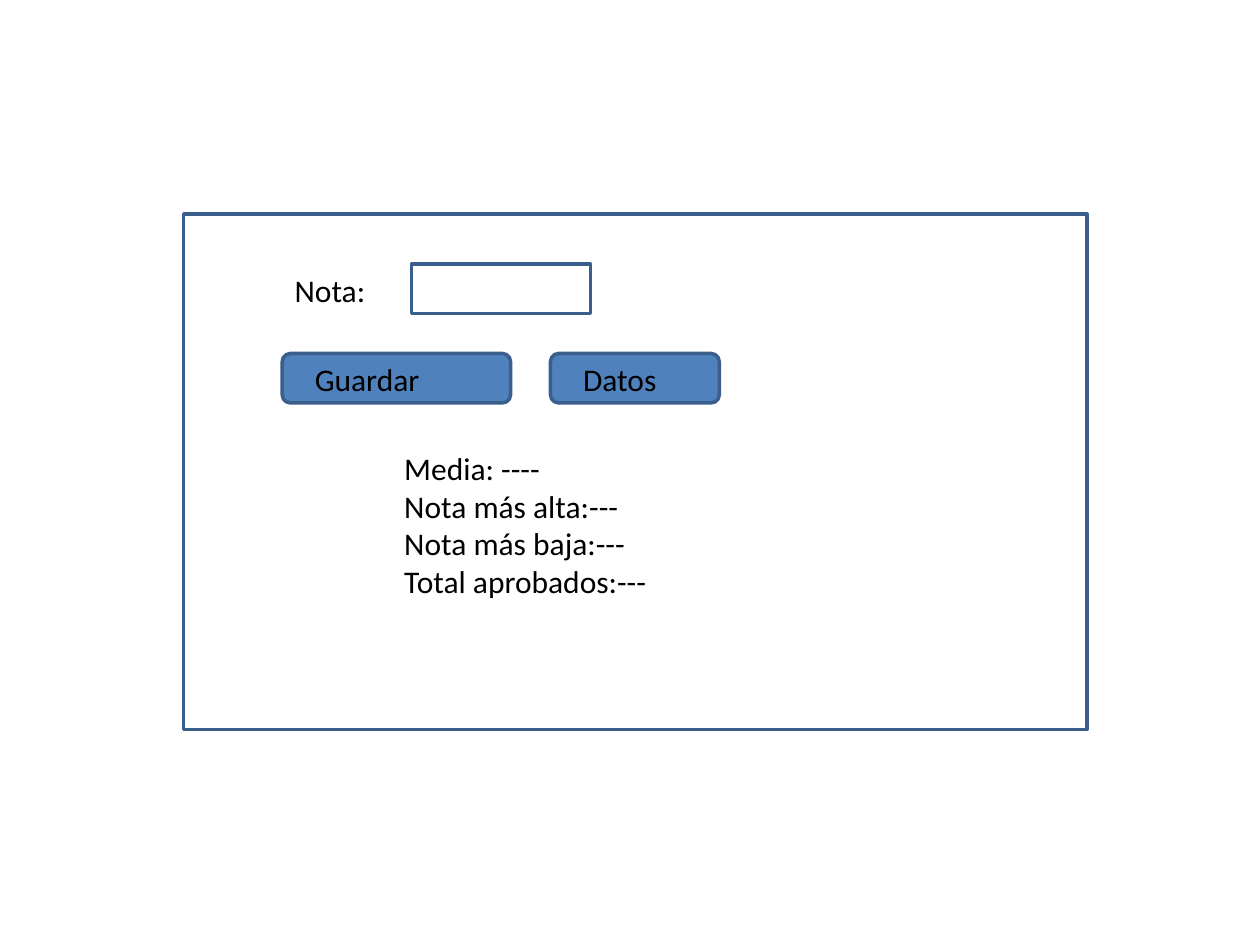
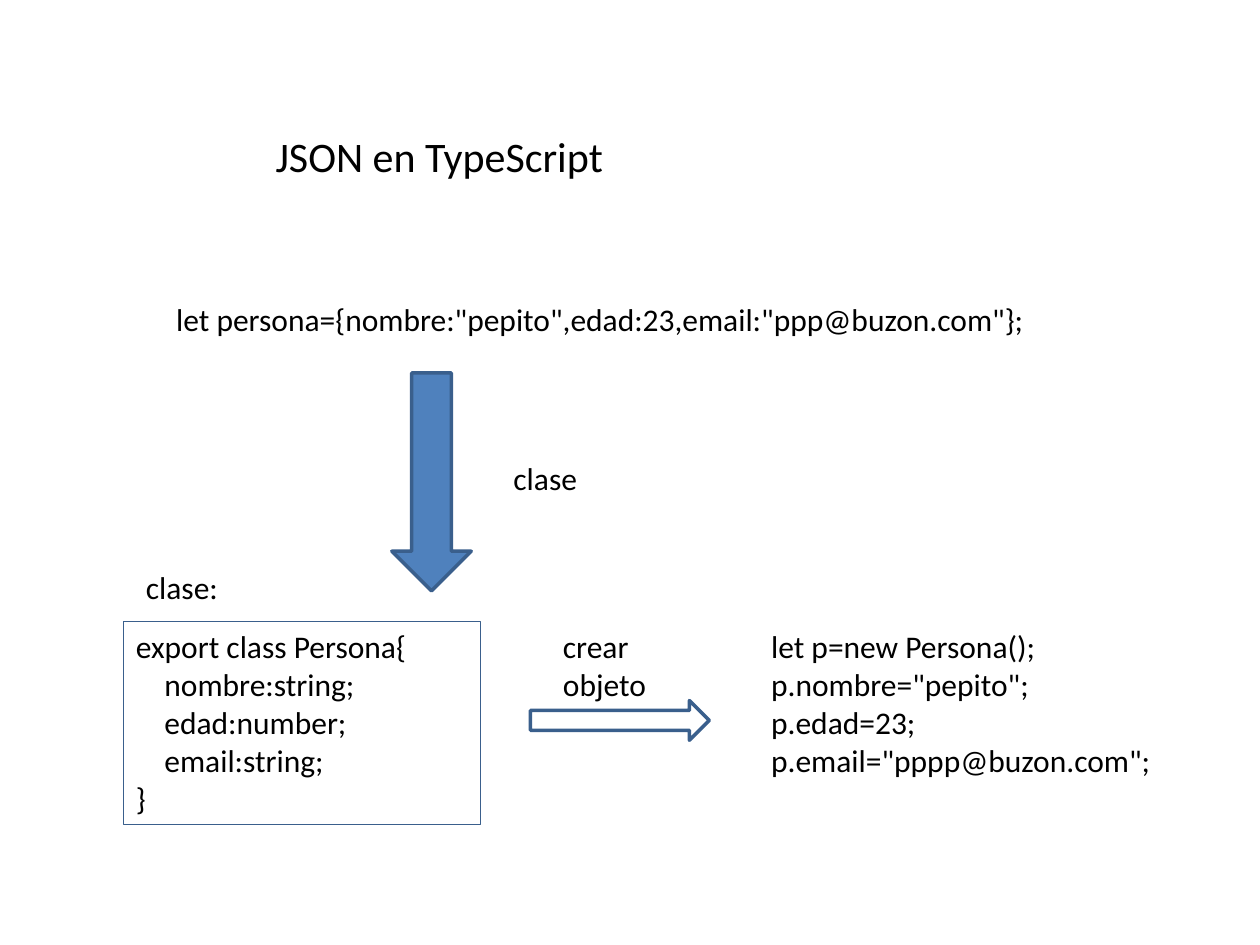
from dataclasses import dataclass

from pptx import Presentation
from pptx.dml.color import RGBColor
from pptx.enum.shapes import MSO_SHAPE
from pptx.enum.text import MSO_ANCHOR, MSO_AUTO_SIZE, PP_ALIGN
from pptx.util import Pt


@dataclass(frozen=True)
class Theme:
    font: str = "Calibri"
    text: RGBColor = RGBColor(0x00, 0x00, 0x00)
    fill: RGBColor = RGBColor(0x4F, 0x81, 0xBD)
    line: RGBColor = RGBColor(0x3A, 0x5F, 0x8C)
    title_size: float = 24
    body_size: float = 18
    line_width: float = 2
    thin_line: float = 0.75
    code_indent: float = 16.3


THEME = Theme()
FRAME_FORMAT = {
    "word_wrap": True,
    "auto_size": MSO_AUTO_SIZE.NONE,
    "vertical_anchor": MSO_ANCHOR.TOP,
}


def set_format(obj, values):
    for name, value in values.items():
        setattr(obj, name, value)


def place(sp, left, top, width, height):
    box = {"left": left, "top": top, "width": width, "height": height}
    set_format(sp, {name: Pt(value) for name, value in box.items()})


def write(sp, lines, size=THEME.body_size, indented=()):
    """Write one paragraph per line; indented holds line numbers."""
    tf = sp.text_frame
    set_format(tf, FRAME_FORMAT)
    font_format = {"name": THEME.font, "size": Pt(size)}
    for i, line in enumerate(lines):
        p = tf.paragraphs[0] if i == 0 else tf.add_paragraph()
        p.alignment = PP_ALIGN.LEFT
        if i in indented:
            p._p.get_or_add_pPr().set("marL", str(Pt(THEME.code_indent)))
        r = p.add_run()
        r.text = line
        set_format(r.font, font_format)
        r.font.color.rgb = THEME.text


def add_title(s, title, *box):
    sp = s.shapes.title
    place(sp, *box)
    write(sp, [title], THEME.title_size)


def add_text(s, lines, *box, indented=()):
    sp = s.shapes.add_textbox(*map(Pt, box))
    write(sp, lines, indented=indented)
    return sp


def outline(sp, width=THEME.line_width):
    sp.line.color.rgb = THEME.line
    sp.line.width = Pt(width)


def add_figure(s, kind, *box, filled=False):
    sp = s.shapes.add_shape(kind, *map(Pt, box))
    sp.shadow.inherit = False
    if filled:
        sp.fill.solid()
        sp.fill.fore_color.rgb = THEME.fill
    else:
        sp.fill.background()
    outline(sp)


def add_button(s, label, left, top, width, height):
    inset = 11.5
    add_figure(s, MSO_SHAPE.ROUNDED_RECTANGLE, left, top, width, height, filled=True)
    add_text(s, [label], left + inset, top, width - inset, height)


def build_form(prs):
    s = prs.slides.add_slide(prs.slide_layouts[6])

    # Window and input field
    add_figure(s, MSO_SHAPE.RECTANGLE, 105, 122.4, 516.2, 294.5)
    add_text(s, ["Nota:"], 161.3, 151.2, 85, 29)
    add_figure(s, MSO_SHAPE.RECTANGLE, 235.2, 151, 102.2, 28.3)

    # Buttons
    add_button(s, "Guardar", 161.3, 202, 130.5, 28.3)
    add_button(s, "Datos", 314.6, 202, 96.5, 28.3)

    # Results
    results = ["Media: ----", "Nota más alta:---", "Nota más baja:---",
               "Total aprobados:---"]
    add_text(s, results, 223.9, 252.9, 181.4, 94.5)


def build_json(prs):
    s = prs.slides.add_slide(prs.slide_layouts[5])
    add_title(s, "JSON en TypeScript", 150.3, 71.2, 226.8, 36.2)

    # JSON object and the step to its class
    add_text(s, ['let persona={nombre:"pepito",edad:23,email:"ppp@buzon.com"};'],
             93.6, 168, 589.7, 29)
    add_figure(s, MSO_SHAPE.DOWN_ARROW, 223.9, 213.1, 45.4, 124.6, filled=True)
    add_text(s, ["clase"], 286.3, 258.7, 164.2, 29)

    # Class definition
    code_top = 355
    code = ["export class Persona{", "nombre:string;", "edad:number;",
            "email:string;", "}"]
    sp = add_text(s, code, 70.6, code_top, 204.1, 116.4, indented=(1, 2, 3))
    outline(sp, THEME.thin_line)
    add_text(s, ["clase:"], 76.3, 321.1, 79.2, 29)

    # Object made from the class
    add_figure(s, MSO_SHAPE.RIGHT_ARROW, 303.1, 400.3, 102.2, 22.7)
    add_text(s, ["crear objeto"], 314.6, code_top, 85, 50.9)
    usage = ["let p=new Persona();", 'p.nombre="pepito";', "p.edad=23;",
             'p.email="pppp@buzon.com";']
    add_text(s, usage, 433.6, code_top, 249.1, 94.5)


def main():
    prs = Presentation()
    set_format(prs, {"slide_width": Pt(720), "slide_height": Pt(540)})
    build_form(prs)
    build_json(prs)
    prs.save("out.pptx")


if __name__ == "__main__":
    main()
